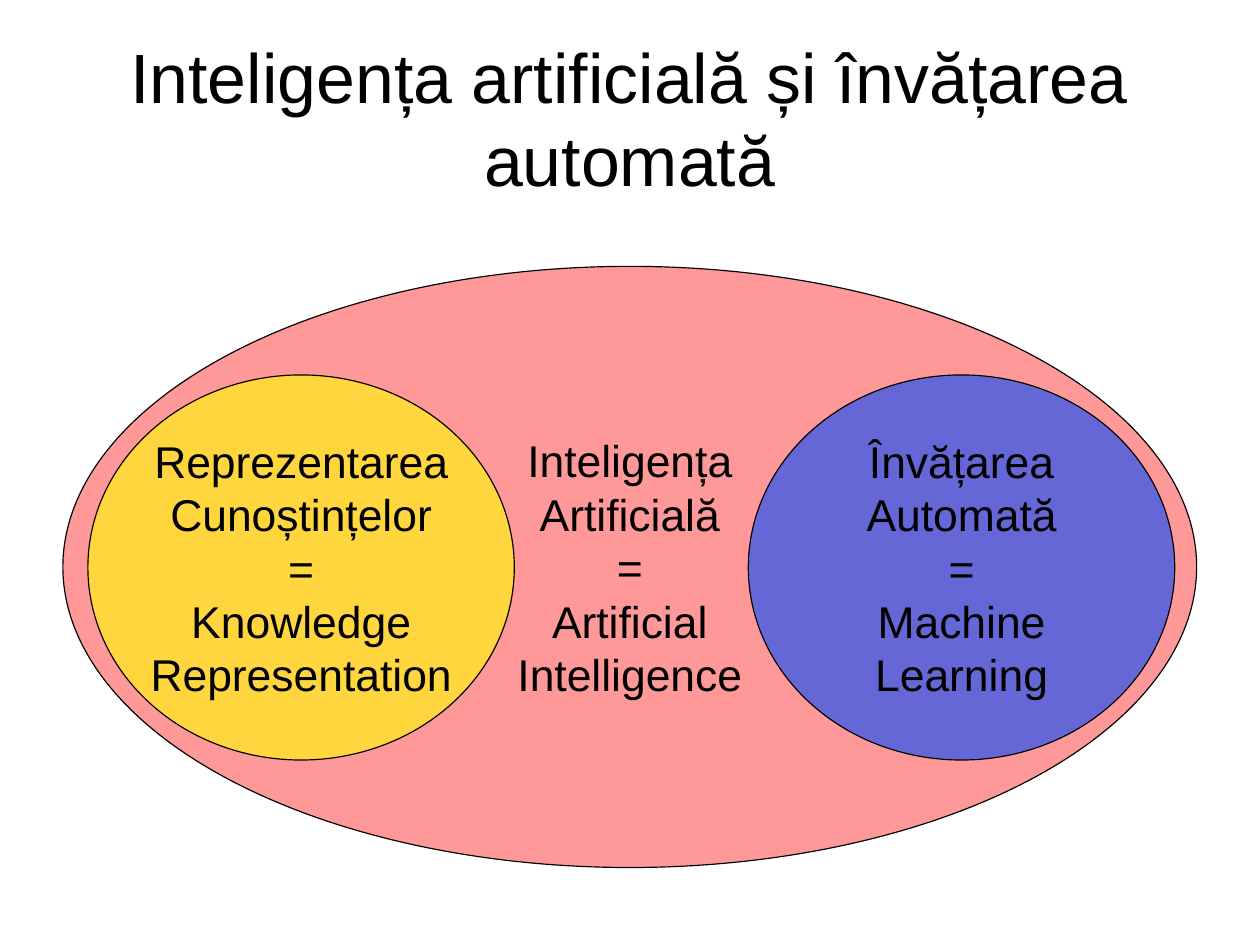
from dataclasses import dataclass

import pptx
import pptx.dml.color
import pptx.enum.shapes
import pptx.enum.text
import pptx.oxml
import pptx.oxml.ns
import pptx.util
from pptx.util import Pt


@dataclass(frozen=True)
class Theme:
    font: str = "Arial"
    title_size: int = 44
    label_size: int = 28
    ink: str = "000000"
    intelligence: str = "FF0000"
    knowledge: str = "FFFF00"
    learning: str = "0047FF"


THEME = Theme()
MARGIN, CONTENT_WIDTH = 39.6, 714.2
CIRCLE_TOP, CIRCLE_WIDTH, CIRCLE_HEIGHT = 236.2, 268.6, 242.6


def rgb(color):
    return pptx.dml.color.RGBColor.from_string(color)


def write_centred(text_frame, lines, size):
    text_frame.vertical_anchor = pptx.enum.text.MSO_ANCHOR.MIDDLE
    text_frame.text = "\n".join(lines)
    for paragraph in text_frame.paragraphs:
        paragraph.alignment = pptx.enum.text.PP_ALIGN.CENTER
        paragraph.font.name = THEME.font
        paragraph.font.size = Pt(size)
        paragraph.font.color.rgb = rgb(THEME.ink)


def set_opacity(shape, percent):
    color = shape.fill._xPr.find(".//" + pptx.oxml.ns.qn("a:srgbClr"))
    alpha = pptx.oxml.parse_xml(
        f'<a:alpha {pptx.oxml.ns.nsdecls("a")} val="{percent * 1000}"/>')
    color.append(alpha)


def add_title(slide, text):
    box = slide.shapes.add_textbox(Pt(MARGIN), Pt(24.5), Pt(CONTENT_WIDTH), Pt(98.6))
    frame = box.text_frame
    frame.word_wrap = True
    frame.margin_left = frame.margin_top = frame.margin_right = frame.margin_bottom = 0
    write_centred(frame, [text], THEME.title_size)


def add_ellipse(slide, left, top, width, height, color, opacity, lines):
    ellipse = slide.shapes.add_shape(
        pptx.enum.shapes.MSO_SHAPE.OVAL, Pt(left), Pt(top), Pt(width), Pt(height))
    ellipse.shadow.inherit = False
    ellipse.fill.solid()
    ellipse.fill.fore_color.rgb = rgb(color)
    set_opacity(ellipse, opacity)
    ellipse.line.color.rgb = rgb(THEME.ink)
    ellipse.line.width = Pt(0.75)
    ellipse.text_frame.word_wrap = False
    write_centred(ellipse.text_frame, lines, THEME.label_size)


def main():
    presentation = pptx.Presentation()
    presentation.slide_width = Pt(793.7)
    presentation.slide_height = Pt(595.3)
    slide = presentation.slides.add_slide(presentation.slide_layouts[6])

    add_title(slide, "Inteligența artificială și învățarea automată")
    add_ellipse(slide, MARGIN, 167.8, CONTENT_WIDTH, 378.7, THEME.intelligence, 40,
                ["Inteligența", "Artificială", "=", "Artificial", "Intelligence"])
    subfields = [
        (55.4, THEME.knowledge,
         ["Reprezentarea", "Cunoștințelor", "=", "Knowledge", "Representation"]),
        (471.4, THEME.learning,
         ["Învățarea", "Automată", "=", "Machine", "Learning"]),
    ]
    for left, color, lines in subfields:
        add_ellipse(slide, left, CIRCLE_TOP, CIRCLE_WIDTH, CIRCLE_HEIGHT, color, 60, lines)

    presentation.save("out.pptx")


if __name__ == "__main__":
    main()
